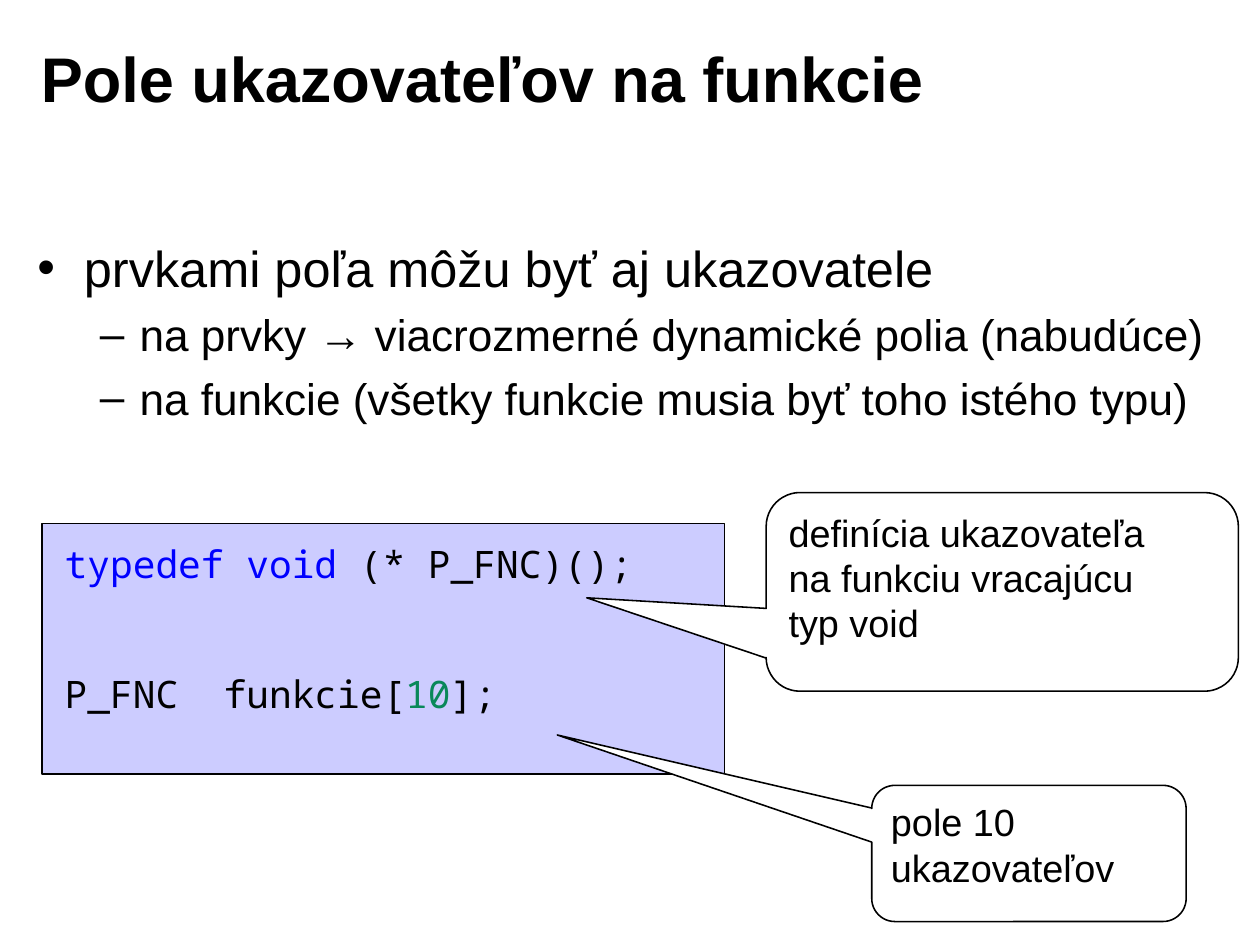
from dataclasses import dataclass

from lxml import etree
from pptx import Presentation
from pptx.dml.color import RGBColor
from pptx.enum.shapes import MSO_SHAPE
from pptx.enum.text import MSO_ANCHOR, PP_ALIGN
from pptx.oxml.ns import qn
from pptx.util import Inches, Pt

RECTANGLE = MSO_SHAPE.RECTANGLE
CALLOUT = MSO_SHAPE.ROUNDED_RECTANGULAR_CALLOUT
LEFT = PP_ALIGN.LEFT
TOP, MIDDLE = MSO_ANCHOR.TOP, MSO_ANCHOR.MIDDLE

# The slide is a grid of 111 columns by 83 rows
COLUMNS, ROWS = 111, 83
WIDTH, HEIGHT = Inches(11.1), Inches(8.3)
COLORS = {
    "black": "000000",
    "white": "FFFFFF",
    "code_panel": "CCCCFF",
    "keyword": "0000FF",
    "number": "09885A",
}
TEXT_FONT, CODE_FONT = "Arial", "Noto Sans Mono"


@dataclass(frozen=True)
class Area:
    column: float
    row: float
    columns: float
    rows: float

    def emu(self) -> tuple[int, int, int, int]:
        return (
            round(self.column * WIDTH / COLUMNS),
            round(self.row * HEIGHT / ROWS),
            round(self.columns * WIDTH / COLUMNS),
            round(self.rows * HEIGHT / ROWS),
        )


@dataclass(frozen=True)
class Line:
    runs: tuple[tuple[str, str], ...]  # text and colour name
    size: float
    font: str = TEXT_FONT
    bold: bool = False
    space_before: float = 0
    bullet: str = ""
    margin: float = 0
    hanging: float = 0


@dataclass(frozen=True)
class Callout:
    area: Area
    tip: tuple[float, float]
    lines: tuple[str, ...]


def plain(text: str, size: float, **options) -> Line:
    return Line(((text, "black"),), size, **options)


def color(name: str) -> RGBColor:
    return RGBColor.from_string(COLORS[name])


def write_lines(text_frame, lines, anchor=TOP) -> None:
    text_frame.word_wrap = True
    text_frame.vertical_anchor = anchor
    text_frame.margin_left = text_frame.margin_right = Inches(0.11)
    text_frame.margin_top = text_frame.margin_bottom = Inches(0.06)
    for index, line in enumerate(lines):
        paragraph = text_frame.add_paragraph() if index else text_frame.paragraphs[0]
        paragraph.alignment = LEFT
        paragraph.space_before = Pt(line.space_before)
        if line.bullet:
            properties = paragraph._p.get_or_add_pPr()
            properties.set("marL", str(Inches(line.margin)))
            properties.set("indent", str(-Inches(line.hanging)))
            etree.SubElement(properties, qn("a:buFont"), typeface=TEXT_FONT)
            etree.SubElement(properties, qn("a:buChar"), char=line.bullet)
        paragraph.font.name = line.font
        paragraph.font.size = Pt(line.size)
        paragraph.font.bold = line.bold
        for text, color_name in line.runs:
            run = paragraph.add_run()
            run.text = text
            run.font.color.rgb = color(color_name)


def add_text(slide, area: Area, lines, anchor=TOP) -> None:
    write_lines(slide.shapes.add_textbox(*area.emu()).text_frame, lines, anchor)


def add_outlined(slide, kind, area: Area, fill: str, line_width: float):
    shape = slide.shapes.add_shape(kind, *area.emu())
    shape.shadow.inherit = False
    shape.fill.solid()
    shape.fill.fore_color.rgb = color(fill)
    shape.line.color.rgb = color("black")
    shape.line.width = Pt(line_width)
    return shape


def add_callout(slide, callout: Callout) -> None:
    shape = add_outlined(slide, CALLOUT, callout.area, "white", 1)
    shape.adjustments[0], shape.adjustments[1] = callout.tip
    shape.adjustments[2] = 0.17
    write_lines(shape.text_frame, [plain(text, 24) for text in callout.lines])


TITLE = plain("Pole ukazovateľov na funkcie", 40, bold=True)
DASH = {"space_before": 6.4, "bullet": "–", "margin": 0.9, "hanging": 0.35}
BODY = (
    plain("prvkami poľa môžu byť aj ukazovatele", 32,
          bullet="•", margin=0.41, hanging=0.41),
    plain("na prvky → viacrozmerné dynamické polia (nabudúce)", 28, **DASH),
    plain("na funkcie (všetky funkcie musia byť toho istého typu)", 28, **DASH),
)
CODE = (
    Line((("typedef void", "keyword"), (" (* P_FNC)();", "black")), 24, CODE_FONT),
    Line((("P_FNC  funkcie[", "black"), ("10", "number"), ("];", "black")),
         24, CODE_FONT, space_before=54),
)
CALLOUTS = (
    Callout(Area(67.5, 43.4, 41.6, 17.5), (-0.88, 0.03),
            ("definícia ukazovateľa", "na funkciu vracajúcu", "typ void")),
    Callout(Area(76.8, 69.2, 27.7, 12), (-1.5, -0.87), ("pole 10 ukazovateľov",)),
)


def main() -> None:
    presentation = Presentation()
    presentation.slide_width, presentation.slide_height = WIDTH, HEIGHT
    slide = presentation.slides.add_slide(presentation.slide_layouts[6])

    # Title and bullets
    add_text(slide, Area(2.5, 1.7, 89.1, 10.2), [TITLE], MIDDLE)
    add_text(slide, Area(2.2, 20.3, 106.6, 19.7), BODY)

    # Code panel
    add_outlined(slide, RECTANGLE, Area(3.7, 46.1, 60.1, 22.1), "code_panel", 0.75)
    add_text(slide, Area(4.6, 47, 59.2, 17.3), CODE)

    # Explanations pointing into the code
    for callout in CALLOUTS:
        add_callout(slide, callout)

    presentation.save("out.pptx")


if __name__ == "__main__":
    main()
